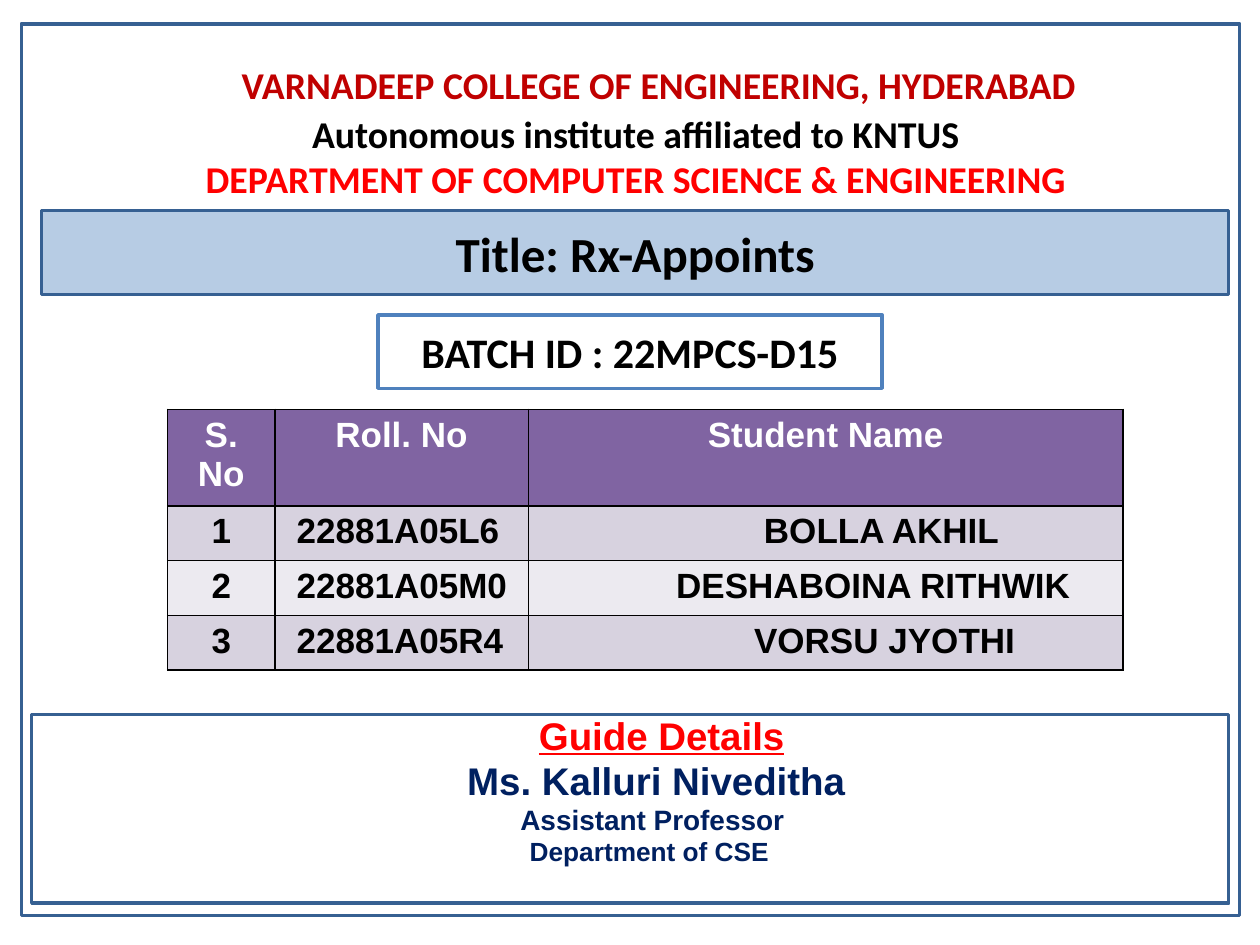
"""Build the title slide of a student project with its batch, team and guide."""
from lxml import etree
from pptx import Presentation
from pptx.dml.color import RGBColor
from pptx.enum.shapes import MSO_SHAPE
from pptx.enum.text import MSO_ANCHOR, PP_ALIGN
from pptx.oxml.ns import qn
from pptx.util import Cm, Pt

WHITE = RGBColor(0xFF, 0xFF, 0xFF)
BLACK = RGBColor(0x00, 0x00, 0x00)
CRIMSON = RGBColor(0xC0, 0x00, 0x00)
RED = RGBColor(0xFF, 0x00, 0x00)
NAVY = RGBColor(0x00, 0x20, 0x60)
STEEL = RGBColor(0x36, 0x60, 0x92)
BLUE = RGBColor(0x4F, 0x81, 0xBD)
PALE_BLUE = RGBColor(0xB7, 0xCC, 0xE4)
PURPLE = RGBColor(0x80, 0x64, 0xA2)
LILAC = RGBColor(0xD7, 0xD2, 0xDF)
PALE_LILAC = RGBColor(0xEC, 0xEA, 0xF0)


def add_panel(left, top, width, height, fill, line):
    panel = slide.shapes.add_shape(
        MSO_SHAPE.RECTANGLE, Cm(left), Cm(top), Cm(width), Cm(height))
    panel.shadow.inherit = False
    panel.fill.solid()
    panel.fill.fore_color.rgb = fill
    panel.line.color.rgb = line
    panel.line.width = Pt(2)
    panel.text_frame.word_wrap = True
    return panel.text_frame


def write(frame, index, text, size, font, color, align=PP_ALIGN.CENTER, indent=0):
    paragraph = frame.add_paragraph() if index else frame.paragraphs[0]
    paragraph.alignment = align
    if indent:
        properties = paragraph._p.get_or_add_pPr()
        properties.set("marL", str(Cm(indent)))
        properties.set("indent", "0")
    run = paragraph.add_run()
    run.text = text
    run.font.size = Pt(size)
    run.font.name = font
    run.font.bold = True
    run.font.color.rgb = color
    return paragraph


prs = Presentation()
prs.slide_width = Cm(25.4)
prs.slide_height = Cm(19.05)
slide = prs.slides.add_slide(prs.slide_layouts[6])

add_panel(0.43, 0.48, 24.56, 17.98, WHITE, STEEL)

heading = slide.shapes.add_textbox(Cm(2.74), Cm(1.9), Cm(20.32), Cm(2.34)).text_frame
heading.word_wrap = True
heading.vertical_anchor = MSO_ANCHOR.MIDDLE
heading.margin_right = Cm(0.41)
heading.margin_bottom = Cm(0.97)
heading_lines = [
    ("VARNADEEP COLLEGE OF ENGINEERING, HYDERABAD", CRIMSON, 0.93, 0),
    ("Autonomous institute affiliated to KNTUS", BLACK, 0, 2),
    ("DEPARTMENT OF COMPUTER SCIENCE & ENGINEERING", RED, 0, 0),
]
for index, (text, color, indent, gap) in enumerate(heading_lines):
    line = write(heading, index, text, 21.6, "Calibri", color, indent=indent)
    line.space_before = Pt(gap)

guide = add_panel(0.64, 14.4, 24.13, 3.81, WHITE, STEEL)
guide.vertical_anchor = MSO_ANCHOR.TOP
guide_lines = [
    ("Guide Details", 22, RED, 1.27, 0),
    ("Ms. Kalluri Niveditha", 22, NAVY, 1.05, 4.7),
    ("Assistant Professor", 16, NAVY, 0.89, 3.4),
    ("Department of CSE", 15, NAVY, 0.77, 3.4),
]
for index, (text, size, color, indent, gap) in enumerate(guide_lines):
    line = write(guide, index, text, size, "Arial", color, indent=indent)
    line.line_spacing = 0.8
    line.space_before = Pt(gap)
guide.paragraphs[0].runs[0].font.underline = True

batch = add_panel(7.62, 6.35, 12.8 - 0.02 * 5, 1.48, WHITE, BLUE)
project = add_panel(0.84, 4.24, 23.93, 1.7, PALE_BLUE, STEEL)
for frame, text, size in [(batch, "BATCH ID : 22MPCS-D15", 24),
                          (project, "Title: Rx-Appoints", 28)]:
    frame.vertical_anchor = MSO_ANCHOR.MIDDLE
    write(frame, 0, text, size, "Calibri", BLACK)
slide.shapes[3].width = Cm(10.16)

students = [
    ("S. No", "Roll. No", "Student Name"),
    ("1", "22881A05L6", "BOLLA AKHIL"),
    ("2", "22881A05M0", "DESHABOINA RITHWIK"),
    ("3", "22881A05R4", "VORSU JYOTHI"),
]
row_fills = [PURPLE, LILAC, PALE_LILAC, LILAC]
name_margins = [0.25, 4.75, 2.98, 4.55]
column_widths = [2.16, 5.11, 11.99]
team = slide.shapes.add_table(
    4, 3, Cm(3.38), Cm(8.25), Cm(sum(column_widths)), Cm(4.16)).table
for column, width in zip(team.columns, column_widths):
    column.width = Cm(width)
for row_index, student in enumerate(students):
    team.rows[row_index].height = Cm(1.04)
    for column_index, text in enumerate(student):
        cell = team.cell(row_index, column_index)
        centred = row_index == 0 or column_index == 0
        if not centred:
            cell.margin_left = Cm((0.44, name_margins[row_index])[column_index - 1])
        write(cell.text_frame, 0, text, 20, "Arial",
              BLACK if row_index else WHITE,
              PP_ALIGN.CENTER if centred else PP_ALIGN.LEFT)
        properties = cell._tc.get_or_add_tcPr()
        for side in ("a:lnL", "a:lnR", "a:lnT", "a:lnB"):
            border = etree.SubElement(properties, qn(side), w=str(Pt(1)))
            solid = etree.SubElement(border, qn("a:solidFill"))
            etree.SubElement(solid, qn("a:srgbClr"), val=str(BLACK))
        cell.fill.solid()
        cell.fill.fore_color.rgb = row_fills[row_index]

prs.save("out.pptx")
